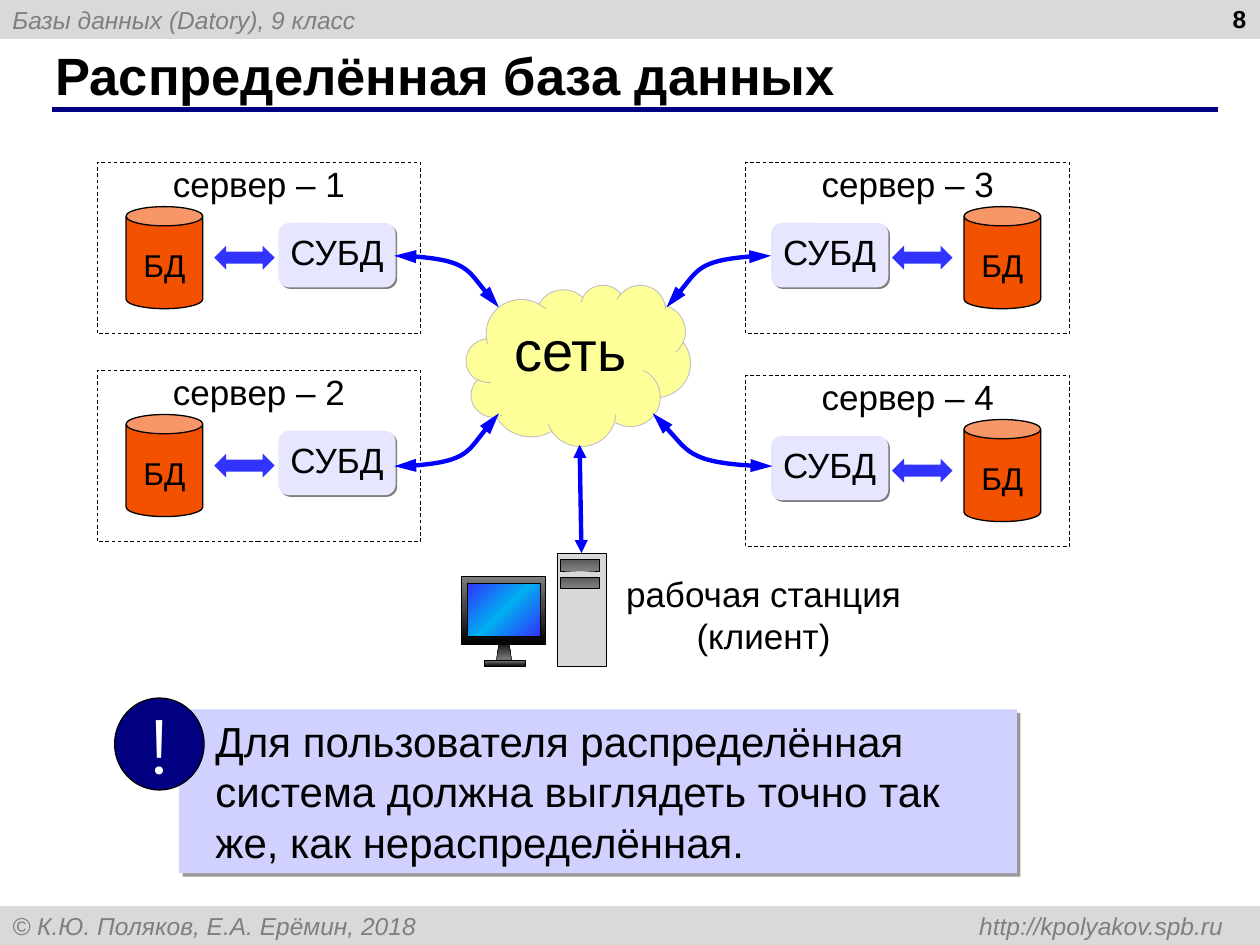
from copy import deepcopy
from dataclasses import dataclass

from lxml.etree import SubElement
from pptx import Presentation
from pptx.dml.color import RGBColor
from pptx.enum.dml import MSO_LINE
from pptx.enum.shapes import MSO_CONNECTOR, MSO_SHAPE as Preset
from pptx.enum.text import MSO_ANCHOR as Anchor, MSO_AUTO_SIZE, PP_ALIGN as Align
from pptx.oxml.ns import qn
from pptx.util import Inches, Pt

UNIT = 0.1  # inches per grid column and row: the slide is 100 by 75


@dataclass(frozen=True)
class Theme:
    black = "000000"
    bar = "D9D9D9"
    navy = "000080"
    link = "0000FF"
    exchange = "3333FF"
    database = "F25100"
    dbms = "E6E6FF"
    cloud = "FFFF99"
    cloud_edge = "BFBFBF"
    note = "D1D1FF"
    tower = "D8D8D8"
    casing = ("7F7F7F", "000000")
    drive = ("5A5A5A", "7F7F7F")
    screen = ("3333FF", "00B0F0", "3333FF")
    # size, colour, bold, italic, font
    title = (30, "000000", True, False, "Arial")
    number = (14, "000000", True, False, "Arial")
    running = (14, "7F7F7F", False, True, "Arial")
    label = (20, "000000", False, False, "Arial")
    small = (18, "000000", False, False, "Arial")
    network = (32, "000000", False, False, "Arial")
    message = (24, "000000", False, False, "Arial")
    mark = (44, "FFFFFF", False, False, "Montserrat")


THEME = Theme()


@dataclass(frozen=True)
class Box:
    col: float
    row: float
    cols: float
    rows: float

    def inner(self, col, row, cols, rows, mirrored=False):
        if mirrored:
            col = self.cols - col - cols
        return Box(self.col + col, self.row + row, cols, rows)

    def place(self):
        return [grid(v) for v in (self.col, self.row, self.cols, self.rows)]


def grid(count):
    return Inches(count * UNIT)


def rgb(value):
    return RGBColor.from_string(value)


def apply(target, values):
    for key, value in values.items():
        setattr(target, key, value)


def write(frame, text, kind, align=Align.CENTER, inset=(0, 0, 0, 0), **layout):
    """Fill a text frame; inset is left, top, right, bottom in grid units."""
    sides = ("margin_left", "margin_top", "margin_right", "margin_bottom")
    apply(frame, {"word_wrap": True, "vertical_anchor": Anchor.TOP,
                  "auto_size": MSO_AUTO_SIZE.NONE,
                  **dict(zip(sides, map(grid, inset))), **layout})
    frame.text = text
    size, colour, bold, italic, name = kind
    for paragraph in frame.paragraphs:
        paragraph.alignment = align
        for run in paragraph.runs:
            apply(run.font, {"size": Pt(size), "bold": bold, "italic": italic, "name": name})
            run.font.color.rgb = rgb(colour)


def paint(shape, colours, angle):
    """Solid for one colour, an even gradient for several."""
    fill = shape.fill
    if colours is None:
        fill.background()
    elif isinstance(colours, str):
        fill.solid()
        fill.fore_color.rgb = rgb(colours)
    else:
        fill.gradient()
        fill.gradient_angle = 360 - angle
        stops = shape.element.spPr.find(".//" + qn("a:gsLst"))
        for _ in colours[2:]:
            stops.append(deepcopy(stops[-1]))
        for i, (stop, colour) in enumerate(zip(fill.gradient_stops, colours)):
            stop.position = i / (len(colours) - 1)
            stop.color.rgb = rgb(colour)


def add(slide, preset, box, fill=None, edge=None, width=0.75, angle=90):
    shape = slide.shapes.add_shape(preset, *box.place())
    shape.shadow.inherit = False
    paint(shape, fill, angle)
    if edge:
        shape.line.color.rgb = rgb(edge)
        shape.line.width = Pt(width)
    else:
        shape.line.fill.background()
    return shape


def cast_shadow(shape, colour, opacity, distance):
    effects = shape.element.spPr.find(qn("a:effectLst"))
    shadow = SubElement(effects, qn("a:outerShdw"), dist=str(Pt(distance)), dir="2700000",
                        algn="ctr", rotWithShape="0")
    tint = SubElement(shadow, qn("a:srgbClr"), val=colour)
    SubElement(tint, qn("a:alpha"), val=str(opacity * 1000))


def double_arrow(shape, length):
    shape.line.color.rgb = rgb(THEME.link)
    shape.line.width = Pt(2.5)
    stroke = shape.element.spPr.find(qn("a:ln"))
    for end in ("a:headEnd", "a:tailEnd"):
        SubElement(stroke, qn(end), type="triangle", w="med", len=length)


def page_frame(slide, page):
    # Header and footer bars
    header = add(slide, Preset.RECTANGLE, page.inner(0, 0, 100, 3.1), THEME.bar)
    footer = add(slide, Preset.RECTANGLE, page.inner(0, 71.9, 100, 3.1), THEME.bar)
    running = {"kind": THEME.running, "align": Align.LEFT, "inset": (1, 0.5, 1, 0.5),
               "vertical_anchor": Anchor.MIDDLE}
    write(header.text_frame, "Базы данных (Datory), 9 класс", **running)
    write(footer.text_frame, "© К.Ю. Поляков, Е.А. Ерёмин, 2018 \thttp://kpolyakov.spb.ru", **running)
    tabs = SubElement(footer.text_frame.paragraphs[0]._p.get_or_add_pPr(), qn("a:tabLst"))
    SubElement(tabs, qn("a:tab"), pos=str(grid(96.1)), algn="r")
    # Title with its rule
    title = slide.shapes.title
    apply(title, dict(zip(("left", "top", "width", "height"), page.inner(3.4, 3.3, 91.6, 5.2).place())))
    write(title.text_frame, "Распределённая база данных", THEME.title, Align.LEFT,
          (1, 0, 1, 0), vertical_anchor=Anchor.MIDDLE)
    rule = slide.shapes.add_connector(MSO_CONNECTOR.STRAIGHT, grid(4.1), grid(8.7), grid(96.7), grid(8.7))
    rule.line.color.rgb = rgb(THEME.navy)
    rule.line.width = Pt(3)
    SubElement(rule.element.spPr, qn("a:effectLst"))
    # Page number
    number = slide.shapes.add_textbox(*page.inner(76.6, -0.2, 23.3, 5.2).place())
    write(number.text_frame, "8", THEME.number, Align.RIGHT, (1, 0.5, 1, 0.5))


def server(slide, box, number, mirrored):
    border = add(slide, Preset.RECTANGLE, box, edge=THEME.black, width=0.5)
    border.line.dash_style = MSO_LINE.DASH
    write(border.text_frame, f"сервер – {number}", THEME.label)
    database = add(slide, Preset.CAN, box.inner(17.3, 3.5, 6.1, 8.1, mirrored), THEME.database, THEME.black)
    write(database.text_frame, "БД", THEME.small, inset=(0, 1.6, 0, 0))
    dbms = add(slide, Preset.ROUNDED_RECTANGLE, box.inner(2, 4.8, 9.3, 5.1, mirrored), THEME.dbms)
    cast_shadow(dbms, "808080", 100, 1.4)
    write(dbms.text_frame, "СУБД", THEME.label, vertical_anchor=Anchor.MIDDLE)
    dbms.text_frame.paragraphs[0].line_spacing = 0.8
    add(slide, Preset.LEFT_RIGHT_ARROW, box.inner(11.6, 6.6, 4.8, 1.9, mirrored), THEME.exchange)


def network_link(slide, start, end):
    """Curve leaving the server level and bending into the cloud."""
    shares = ((0.68, 0), (0.75, 0.43), (1, 1))
    points = [[grid(a + (b - a) * s) for a, b, s in zip(start, end, share)] for share in shares]
    builder = slide.shapes.build_freeform(*map(grid, start))
    builder.add_line_segments(points, close=False)
    link = builder.convert_to_shape()
    outline = link.element.find(".//" + qn("a:path"))
    segments = outline.findall(qn("a:lnTo"))
    bend = SubElement(outline, qn("a:cubicBezTo"))
    for segment in segments:
        bend.append(segment[0])
        outline.remove(segment)
    link.fill.background()
    link.shadow.inherit = False
    double_arrow(link, "lg")


def network(slide, box):
    cloud = add(slide, Preset.CLOUD, box, THEME.cloud, THEME.cloud_edge, 0.5)
    write(cloud.text_frame, "сеть", THEME.network, inset=(1, 0.5, 1, 0.5))
    for start, end in (((61.2, 20.3), (52.9, 24.4)), ((31.3, 20.3), (39.6, 24.4)),
                       ((31.3, 37), (39.6, 32.8)), ((61.3, 37), (51.8, 32.8))):
        network_link(slide, start, end)


def workstation(slide, box):
    caption = slide.shapes.add_textbox(*box.inner(11.6, 1.5, 24.8, 7.1).place())
    write(caption.text_frame, "рабочая станция\n(клиент)", THEME.label)
    # Monitor: stand, casing, screen, foot; then tower and its drives
    pieces = ((Preset.FLOWCHART_MANUAL_OPERATION, (2.8, 6.9, 1.2, 1.6), THEME.casing, 90),
              (Preset.RECTANGLE, (0, 1.8, 6.7, 5.4), THEME.casing, 90),
              (Preset.RECTANGLE, (0.5, 2.4, 5.8, 4.2), THEME.screen, 45),
              (Preset.RECTANGLE, (1.8, 8.5, 3.3, 0.5), THEME.casing, 90),
              (Preset.RECTANGLE, (7.6, 0, 3.9, 9), THEME.tower, 90),
              (Preset.RECTANGLE, (7.9, 0.5, 3.1, 0.9), THEME.drive, 90),
              (Preset.RECTANGLE, (7.9, 1.9, 3.1, 0.9), THEME.drive, 90))
    stand, _, _, _, tower, *_ = [add(slide, preset, box.inner(*at), fill, THEME.black, 0.25, angle)
                                 for preset, at, fill, angle in pieces]
    stand.element.spPr.find(qn("a:xfrm")).set("flipV", "1")
    uplink = slide.shapes.add_connector(MSO_CONNECTOR.STRAIGHT, grid(46.1), grid(43.8), grid(46), grid(35.3))
    uplink.begin_connect(tower, 0)
    double_arrow(uplink, "med")
    SubElement(uplink.element.spPr, qn("a:effectLst"))


def note(slide, box):
    panel = add(slide, Preset.RECTANGLE, box.inner(5.1, 0.9, 66.5, 13), THEME.note)
    cast_shadow(panel, THEME.black, 40, 3)
    write(panel.text_frame, "Для пользователя распределённая система должна выглядеть точно так же, "
          "как нераспределённая.", THEME.message, Align.LEFT, (2.9, 0.5, 1, 0.5))
    badge = add(slide, Preset.OVAL, box.inner(0, 0, 7.1, 7.3), THEME.navy, THEME.black)
    write(badge.text_frame, "!", THEME.mark, inset=(1, 0.5, 1, 0.5),
          vertical_anchor=Anchor.MIDDLE, word_wrap=False)


def main():
    deck = Presentation()
    page = Box(0, 0, 100, 75)
    apply(deck, {"slide_width": grid(page.cols), "slide_height": grid(page.rows)})
    slide = deck.slides.add_slide(deck.slide_layouts[5])
    page_frame(slide, page)
    for number, col, row in ((3, 59.2, 12.9), (4, 59.2, 29.8), (1, 7.7, 12.9), (2, 7.7, 29.4)):
        server(slide, page.inner(col, row, 25.7, 13.6), number, mirrored=number < 3)
    network(slide, page.inner(37, 22.6, 17.8, 12.8))
    workstation(slide, page.inner(36.6, 43.9, 36.4, 9))
    note(slide, page.inner(9.1, 55.4, 71.6, 13.9))
    deck.save("out.pptx")


if __name__ == "__main__":
    main()
